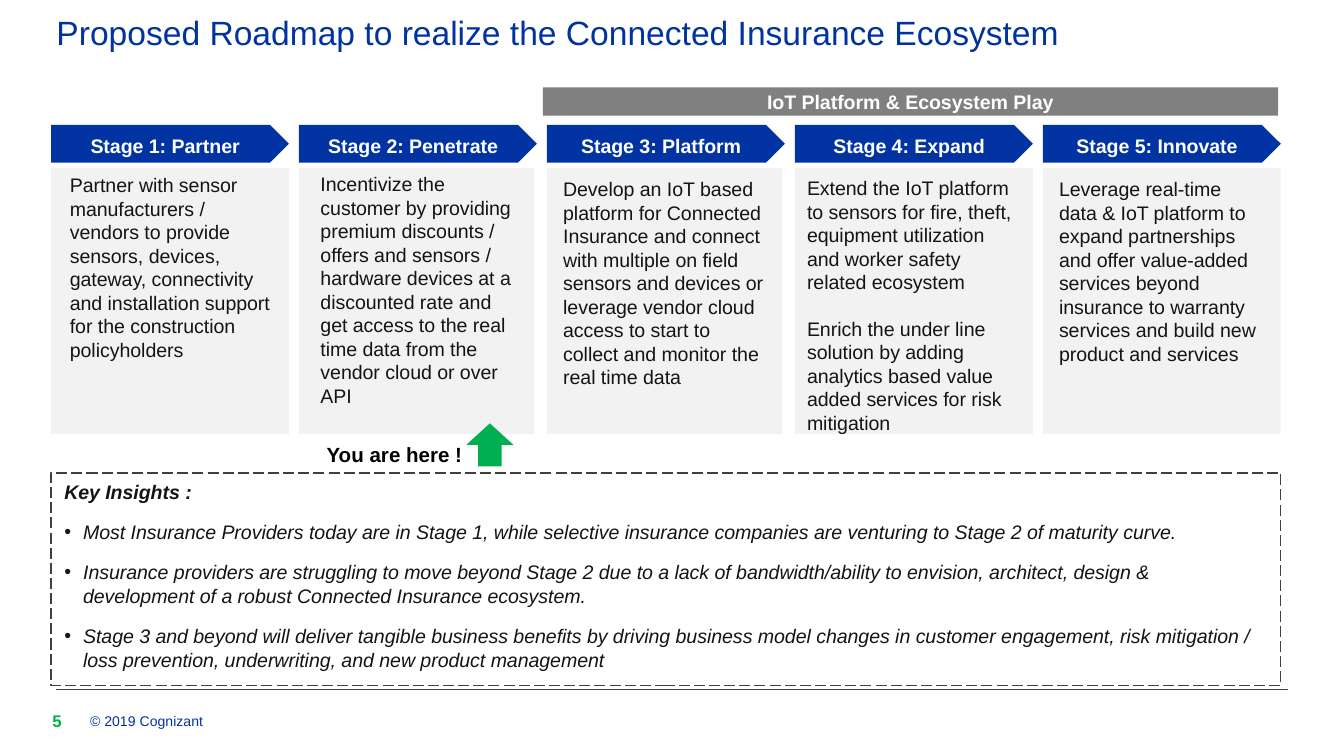
from lxml import etree
from pptx import Presentation
from pptx.dml.color import RGBColor
from pptx.enum.dml import MSO_LINE
from pptx.enum.shapes import MSO_CONNECTOR, MSO_SHAPE
from pptx.enum.text import MSO_ANCHOR, PP_ALIGN
from pptx.oxml.ns import qn
from pptx.util import Inches, Pt

LEFT, CENTER = PP_ALIGN.LEFT, PP_ALIGN.CENTER
TOP, MIDDLE = MSO_ANCHOR.TOP, MSO_ANCHOR.MIDDLE
RECTANGLE, PENTAGON, UP_ARROW = MSO_SHAPE.RECTANGLE, MSO_SHAPE.PENTAGON, MSO_SHAPE.UP_ARROW
LONG_DASH = MSO_LINE.LONG_DASH
STRAIGHT = MSO_CONNECTOR.STRAIGHT

BLUE, STAGE_BLUE, INK, WHITE = "0033A0", "0133A2", "141414", "FFFFFF"
GREEN, ARROW_GREEN, CARD, BANNER, DARK = "00B140", "00B050", "F2F2F2", "808080", "404040"

TITLE = "Proposed Roadmap to realize the Connected Insurance Ecosystem"
STAGES = [
    {"name": "Stage 1: Partner", "width": 1.77, "insets": (0.14, 0.04, 0.12, 0),
     "text": ["Partner with sensor manufacturers / vendors to provide sensors, devices, gateway, "
              "connectivity and installation support for the construction policyholders"]},
    {"name": "Stage 2: Penetrate", "width": 1.75, "insets": (0.16, 0.03, 0.14, 0),
     "text": ["Incentivize the customer by providing premium discounts / offers and sensors / "
              "hardware devices at a discounted rate and get access to the real time data from "
              "the vendor cloud or over API"]},
    {"name": "Stage 3: Platform", "width": 1.75, "insets": (0.12, 0.07, 0.12, 0),
     "text": ["Develop an IoT based platform for Connected Insurance and connect with multiple "
              "on field sensors and devices or leverage vendor cloud access to start to collect "
              "and monitor the real time data"]},
    {"name": "Stage 4: Expand", "width": 1.77, "insets": (0.09, 0.06, 0.1, 0),
     "text": ["Extend the IoT platform to sensors for fire, theft, equipment utilization and "
              "worker safety related ecosystem",
              "Enrich the under line solution by adding analytics based value added services "
              "for risk mitigation"]},
    {"name": "Stage 5: Innovate", "width": 1.77, "insets": (0.12, 0.07, 0.15, 0),
     "text": ["Leverage real-time data & IoT platform to expand partnerships and offer "
              "value-added services beyond insurance to warranty services and build new "
              "product and services"]},
]
INSIGHTS_HEADING = "Key Insights :"
INSIGHTS = [
    "Most Insurance Providers today are in Stage 1, while selective insurance companies are "
    "venturing to Stage 2 of maturity curve.",
    "Insurance providers are struggling to move beyond Stage 2 due to a lack of "
    "bandwidth/ability to envision, architect, design & development of a robust Connected "
    "Insurance ecosystem.",
    "Stage 3 and beyond will deliver tangible business benefits by driving business model "
    "changes in customer engagement, risk mitigation / loss prevention, underwriting, and new "
    "product management",
]
LABELS = [
    ("You are here !", (2.43, 3.29, 1.04, 0.19), 11, "000000", True, TOP),
    ("© 2019 Cognizant", (0.67, 5.28, 5, 0.17), 7.5, BLUE, False, MIDDLE),
    ("5", (0.39, 5.28, 0.25, 0.17), 9, GREEN, True, MIDDLE),
]
STAGE_LEFT, STAGE_RIGHT, STAGE_WIDTH = 0.38, 9.53, 1.77
STAGE_PITCH = (STAGE_RIGHT - STAGE_LEFT - STAGE_WIDTH) / (len(STAGES) - 1)


def color(hex_text):
    return RGBColor.from_string(hex_text)


def add_shape(kind, box, fill=None):
    shape = slide.shapes.add_shape(kind, *map(Inches, box))
    shape.shadow.inherit = False
    shape.line.fill.background()
    if fill:
        shape.fill.solid()
        shape.fill.fore_color.rgb = color(fill)
    else:
        shape.fill.background()
    return shape


def add_bullet(paragraph):
    properties = paragraph._p.get_or_add_pPr()
    properties.set("marL", str(Inches(0.14)))
    properties.set("indent", str(-Inches(0.14)))
    etree.SubElement(properties, qn("a:buFont")).set("typeface", "Arial")
    etree.SubElement(properties, qn("a:buChar")).set("char", "•")


def write(shape, texts, size=10.5, ink=INK, bold=False, italic=False, align=LEFT,
          anchor=TOP, insets=(0.1, 0.05, 0.1, 0.05), gap=0, bulleted=False):
    frame = shape.text_frame
    frame.word_wrap = True
    frame.vertical_anchor = anchor
    (frame.margin_left, frame.margin_top,
     frame.margin_right, frame.margin_bottom) = map(Inches, insets)
    for index, text in enumerate(texts):
        paragraph = frame.paragraphs[0] if index == 0 else frame.add_paragraph()
        paragraph.text = text
        paragraph.alignment = align
        if index:
            paragraph.space_before = Pt(gap)
            if bulleted:
                add_bullet(paragraph)
        font = paragraph.font
        font.name, font.size, font.italic = "Arial", Pt(size), italic
        font.bold = bold and not (bulleted and index)
        font.color.rgb = color(ink)


presentation = Presentation()
presentation.slide_width = Inches(10)
presentation.slide_height = Inches(10) * 9 // 16
slide = presentation.slides.add_slide(presentation.slide_layouts[5])

footer_rule = slide.shapes.add_connector(
    STRAIGHT, Inches(0.42), Inches(5.13), Inches(9.58), Inches(5.13))
footer_rule.line.color.rgb = color(DARK)
footer_rule.line.width = Pt(0.5)
etree.SubElement(footer_rule._element.spPr, qn("a:effectLst"))

title = slide.shapes.title
title.left, title.top, title.width, title.height = map(Inches, (0.42, 0.12, 9.17, 0.43))
write(title, [TITLE], size=18, ink=BLUE, insets=(0, 0, 0, 0))
title.text_frame.paragraphs[0].line_spacing = 0.9

insights = add_shape(RECTANGLE, (0.38, 3.52, 9.15, 1.58))
insights.line.color.rgb = color(DARK)
insights.line.width = Pt(0.75)
insights.line.dash_style = LONG_DASH
write(insights, [INSIGHTS_HEADING] + INSIGHTS, bold=True, italic=True, gap=9, bulleted=True)

for index, stage in enumerate(STAGES):
    left = STAGE_LEFT + index * STAGE_PITCH
    card = add_shape(RECTANGLE, (left, 1.25, stage["width"], 1.98), CARD)
    write(card, stage["text"], insets=stage["insets"], gap=12.5)
    header = add_shape(PENTAGON, (left, 0.93, STAGE_WIDTH, 0.28), STAGE_BLUE)
    write(header, [stage["name"]], ink=WHITE, bold=True, align=CENTER, anchor=MIDDLE,
          insets=(0, 0.03, 0, 0))

banner = add_shape(RECTANGLE, (4.04, 0.65, 5.47, 0.21), BANNER)
write(banner, ["IoT Platform & Ecosystem Play"], ink=WHITE, bold=True, align=CENTER,
      anchor=MIDDLE, insets=(0.1, 0, 0.1, 0))

add_shape(UP_ARROW, (3.47, 3.15, 0.35, 0.32), ARROW_GREEN)

for text, box, size, ink, bold, anchor in LABELS:
    label = slide.shapes.add_textbox(*map(Inches, box))
    write(label, [text], size=size, ink=ink, bold=bold, anchor=anchor, insets=(0, 0, 0, 0))

presentation.save("out.pptx")
